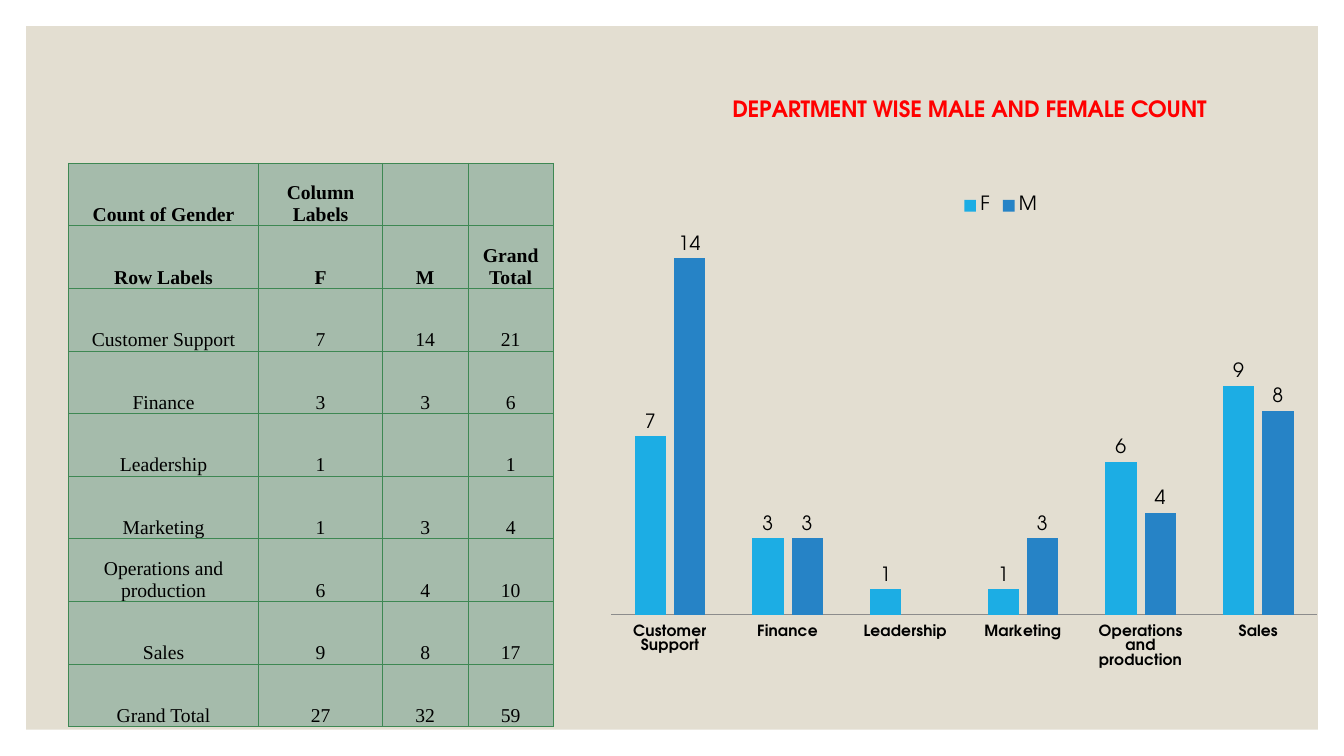
from lxml import etree
from pptx import Presentation
from pptx.chart.data import CategoryChartData
from pptx.dml.color import RGBColor
from pptx.enum.chart import (XL_CHART_TYPE, XL_LABEL_POSITION,
                             XL_LEGEND_POSITION, XL_TICK_LABEL_POSITION,
                             XL_TICK_MARK)
from pptx.enum.shapes import MSO_SHAPE
from pptx.enum.text import MSO_ANCHOR, PP_ALIGN
from pptx.oxml import parse_xml
from pptx.oxml.ns import nsdecls, qn
from pptx.util import Pt

COLUMNS = XL_CHART_TYPE.COLUMN_CLUSTERED
OUTSIDE = XL_LABEL_POSITION.OUTSIDE_END
TOP = XL_LEGEND_POSITION.TOP
LOW = XL_TICK_LABEL_POSITION.LOW
NO_TICK = XL_TICK_MARK.NONE
RECT = MSO_SHAPE.RECTANGLE
BOTTOM = MSO_ANCHOR.BOTTOM
CENTER = PP_ALIGN.CENTER

# Content
TITLE = "DEPARTMENT WISE MALE AND FEMALE COUNT "
HEADS = [
    ("Count of Gender", "Column Labels", "", ""),
    ("Row Labels", "F", "M", "Grand Total"),
]
COUNTS = [
    ("Customer Support", 7, 14, 21),
    ("Finance", 3, 3, 6),
    ("Leadership", 1, None, 1),
    ("Marketing", 1, 3, 4),
    ("Operations and production", 6, 4, 10),
    ("Sales", 9, 8, 17),
]
TOTALS = ("Grand Total", 27, 32, 59)

# Look
SAND = RGBColor(0xE3, 0xDE, 0xD1)
SAGE = RGBColor(0xA5, 0xBB, 0xAB)
GREEN = RGBColor(0x3E, 0x88, 0x53)
BLACK = RGBColor(0, 0, 0)
RED = RGBColor(0xFF, 0, 0)
GRAY = RGBColor(0x8C, 0x8C, 0x8C)
SERIES = {"F": RGBColor(0x1C, 0xAD, 0xE4), "M": RGBColor(0x26, 0x83, 0xC6)}
SERIF, SANS = "Times New Roman", "TeX Gyre Adventor"
CELL = {"name": SERIF, "size": Pt(14), "color": BLACK}
CHART = {"name": SANS, "size": Pt(14), "bold": False, "color": BLACK}
AXIS = {**CHART, "size": Pt(11), "bold": True}
HEAD = {**CHART, "size": Pt(16), "bold": True, "color": RED}

# Geometry in points
WIDE, HIGH, EDGE = 960, 540, 18.7
PANEL_H = 502.5
TABLE_X, TABLE_Y = 49, 116.6
COLS, ROW_H = (135.7, 88.6, 60.9, 61.2), 44.72
CHART_BOX = (429.1, 54.7, 531.4, 434.9)
PLOT = {"x": 0.014, "y": 0.215, "w": 0.949, "h": 0.669}
LEGEND = {"x": 0.48, "y": 0.19}


def style(font, look):
    for key, value in look.items():
        if key == "color":
            font.color.rgb = value
        else:
            setattr(font, key, value)


def border(cell):
    props = cell._tc.get_or_add_tcPr()
    for spot, side in enumerate(("lnL", "lnR", "lnT", "lnB")):
        props.insert(spot, parse_xml(
            f'<a:{side} {nsdecls("a")} w="{Pt(0.5)}"><a:solidFill>'
            f'<a:srgbClr val="{GREEN}"/></a:solidFill></a:{side}>'))


def place(part, spots, inner=False):
    """Give a chart part a fixed place, as shares of the chart."""
    for old in part.findall(qn("c:layout")):
        part.remove(old)
    layout = etree.Element(qn("c:layout"))
    manual = etree.SubElement(layout, qn("c:manualLayout"))
    if inner:
        etree.SubElement(manual, qn("c:layoutTarget"), val="inner")
    for key in "xy":
        etree.SubElement(manual, qn(f"c:{key}Mode"), val="edge")
    for key, share in spots.items():
        etree.SubElement(manual, qn(f"c:{key}"), val=str(share))
    part.insert(0 if inner else 1, layout)


def add_panel(slide):
    panel = slide.shapes.add_shape(RECT, Pt(EDGE), Pt(EDGE),
                                   Pt(WIDE - 2 * EDGE), Pt(PANEL_H))
    panel.shadow.inherit = False
    panel.fill.solid()
    panel.fill.fore_color.rgb = SAND
    panel.line.fill.background()


def add_counts(slide):
    rows = HEADS + COUNTS + [TOTALS]
    table = slide.shapes.add_table(
        len(rows), len(COLS), Pt(TABLE_X), Pt(TABLE_Y),
        Pt(sum(COLS)), Pt(ROW_H * len(rows))).table
    table.first_row = table.horz_banding = False
    for col, width in zip(table.columns, COLS):
        col.width = Pt(width)
    for r, row in enumerate(rows):
        table.rows[r].height = Pt(ROW_H)
        for c, value in enumerate(row):
            cell = table.cell(r, c)
            for side in ("left", "right", "top", "bottom"):
                setattr(cell, f"margin_{side}", 0)
            cell.vertical_anchor = BOTTOM
            cell.fill.solid()
            cell.fill.fore_color.rgb = SAGE
            border(cell)
            para = cell.text_frame.paragraphs[0]
            para.alignment = CENTER
            if value not in ("", None):
                run = para.add_run()
                run.text = str(value)
                style(run.font, {**CELL, "bold": r < len(HEADS)})


def add_bars(slide):
    data = CategoryChartData()
    data.categories = [row[0] for row in COUNTS]
    for col, name in enumerate(SERIES, 1):
        data.add_series(name, [row[col] for row in COUNTS])
    box = [Pt(n) for n in CHART_BOX]
    chart = slide.shapes.add_chart(COLUMNS, *box, data).chart
    style(chart.font, CHART)

    # Title and legend
    chart.has_title = True
    run = chart.chart_title.text_frame.paragraphs[0].add_run()
    run.text = TITLE
    style(run.font, HEAD)
    chart.chart_title.include_in_layout = False
    chart.has_legend = True
    chart.legend.position = TOP
    chart.legend.include_in_layout = False
    style(chart.legend.font, CHART)
    place(chart.legend._element, LEGEND)

    # Axes
    axis = chart.category_axis
    axis.major_tick_mark = axis.minor_tick_mark = NO_TICK
    axis.tick_label_position = LOW
    axis.format.line.color.rgb = GRAY
    axis.format.line.width = Pt(0.75)
    style(axis.tick_labels.font, AXIS)
    scale = chart.value_axis
    scale.minimum_scale, scale.maximum_scale = 0, 16
    scale.has_major_gridlines = False
    scale.visible = False

    # Bars and labels
    plot = chart.plots[0]
    plot.gap_width, plot.overlap = 150, -25
    plot.vary_by_categories = False
    for series in plot.series:
        series.format.fill.solid()
        series.format.fill.fore_color.rgb = SERIES[series.name]
        labels = series.data_labels
        labels.show_value = True
        labels.position = OUTSIDE
        style(labels.font, CHART)
    place(chart._chartSpace.chart.plotArea, PLOT, inner=True)


def main():
    deck = Presentation()
    deck.slide_width, deck.slide_height = Pt(WIDE), Pt(HIGH)
    slide = deck.slides.add_slide(deck.slide_layouts[6])
    add_panel(slide)
    add_counts(slide)
    add_bars(slide)
    deck.save("out.pptx")


if __name__ == "__main__":
    main()
